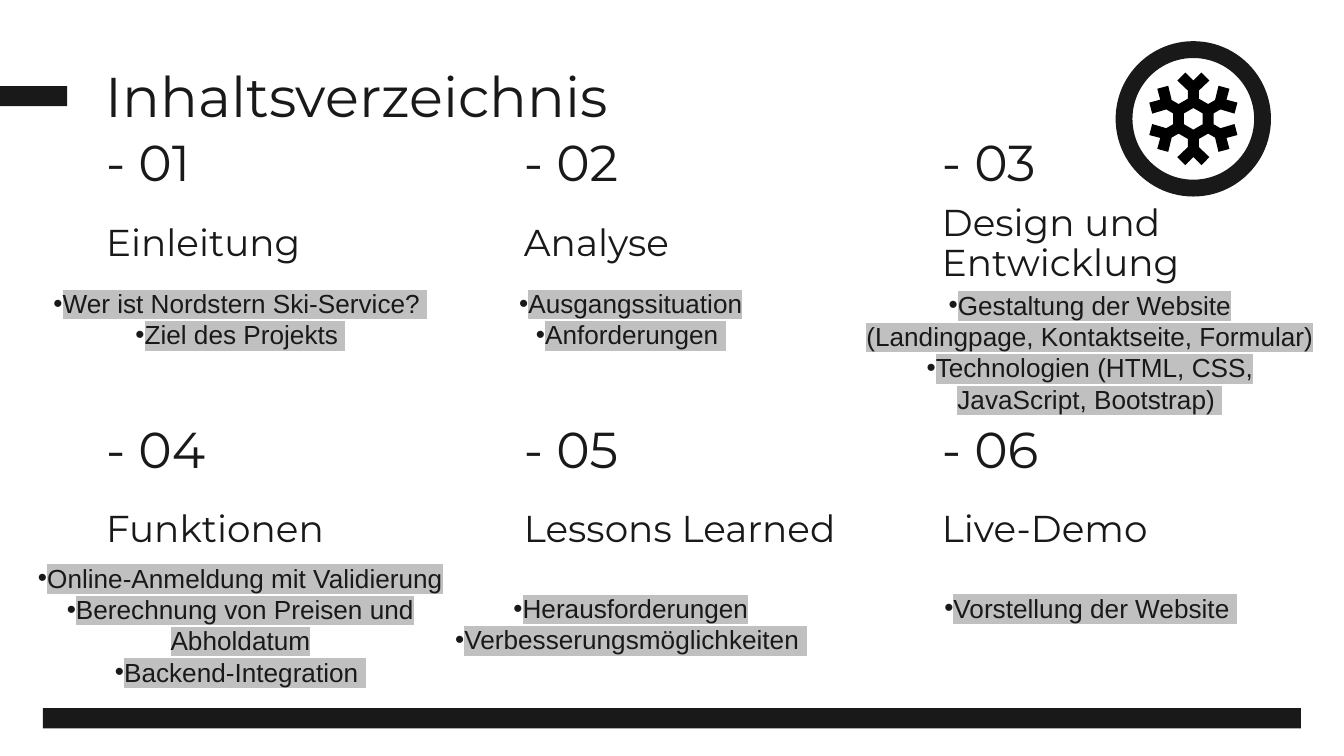
import math
import pptx
import pptx.util
import pptx.dml.color
import pptx.enum.shapes
import pptx.enum.text
import pptx.oxml.ns
from lxml import etree

Pt = pptx.util.Pt
ANCHOR = pptx.enum.text.MSO_ANCHOR
ALIGN = pptx.enum.text.PP_ALIGN
SHAPE = pptx.enum.shapes.MSO_SHAPE
INK = "191919"
MARKER = "C0C0C0"
HEAD_FONT = "Montserrat"
LIST_FONT = "Arial"
LIST_PITCH = 16.8

# Grid of chapters
LEFT, TOP = 56.8, 63.2
COLUMN_STEP, ROW_STEP = 223.9, 153.3

# Heading, list items, list box, whether the list wraps
CHAPTERS = [
    ("Einleitung", ["Wer ist Nordstern Ski-Service? ", "Ziel des Projekts "],
     (18.7, 133.2, 220.3, 58.3), False),
    ("Analyse", ["Ausgangssituation", "Anforderungen "],
     (270.7, 133.2, 134.6, 58.3), False),
    ("Design und Entwicklung",
     ["Gestaltung der Website (Landingpage, Kontaktseite, Formular)",
      "Technologien (HTML, CSS, JavaScript, Bootstrap) "],
     (456.5, 133.9, 254.9, 92.2), True),
    ("Funktionen",
     ["Online-Anmeldung mit Validierung", "Berechnung von Preisen und Abholdatum",
      "Backend-Integration "],
     (-2.2, 280.1, 262.1, 92.2), True),
    ("Lessons Learned", ["Herausforderungen", "Verbesserungsmöglichkeiten "],
     (231.8, 296.6, 212.4, 58.3), True),
    ("Live-Demo", ["Vorstellung der Website "],
     (478.1, 296.6, 212.4, 41), True),
]


def color(hex_string):
    return pptx.dml.color.RGBColor.from_string(hex_string)


def fill_shape(shape, hex_string):
    shape.shadow.inherit = False
    shape.fill.solid()
    shape.fill.fore_color.rgb = color(hex_string)
    shape.line.fill.background()


def add_child(parent, tag, **attributes):
    child = etree.SubElement(parent, pptx.oxml.ns.qn(tag))
    for name, value in attributes.items():
        child.set(name, value)
    return child


def write(para, text, size=14, font=HEAD_FONT, align=ALIGN.LEFT, spacing=1.0,
          marker=None, bullet=None):
    para.alignment = align
    para.line_spacing = spacing
    if bullet:
        properties = para._p.get_or_add_pPr()
        properties.set("marL", "0")
        properties.set("indent", "0")
        add_child(properties, "a:buFont", typeface=font)
        add_child(properties, "a:buChar", char=bullet)
    span = para.add_run()
    span.text = text
    span.font.size = Pt(size)
    span.font.color.rgb = color(INK)
    if marker:
        highlight = add_child(span._r.get_or_add_rPr(), "a:highlight")
        add_child(highlight, "a:srgbClr", val=marker)
    span.font.name = font


def set_frame(frame, anchor=ANCHOR.MIDDLE, insets=(0, 0, 0, 0), wrap=True):
    frame.word_wrap = wrap
    frame.auto_size = pptx.enum.text.MSO_AUTO_SIZE.NONE
    frame.vertical_anchor = anchor
    frame.margin_left, frame.margin_top, frame.margin_right, frame.margin_bottom = map(Pt, insets)


def add_text(page, box, text, **formats):
    frame = page.shapes.add_textbox(*map(Pt, box)).text_frame
    set_frame(frame)
    write(frame.paragraphs[0], text, **formats)


def place_title(page, box, text):
    title = page.shapes.title
    title.left, title.top, title.width, title.height = map(Pt, box)
    set_frame(title.text_frame, anchor=ANCHOR.TOP)
    write(title.text_frame.paragraphs[0], text, size=30)


def add_bar(page, box):
    fill_shape(page.shapes.add_shape(SHAPE.RECTANGLE, *map(Pt, box)), INK)


def add_chapter(page, box, number, heading):
    left, top, width, height = box
    number_height = 46.8
    add_text(page, (left, top, 101.5, number_height), f"- {number:02d}", size=27)
    add_text(page, (left, top + number_height, width, height - number_height),
             heading, size=20, spacing=0.9)


def add_list(page, box, items, wrap):
    frame = page.shapes.add_textbox(*map(Pt, box)).text_frame
    # One line of room stays free above the list
    set_frame(frame, insets=(7.2, 3.6 + LIST_PITCH, 7.2, 3.6), wrap=wrap)
    for index, item in enumerate(items):
        para = frame.add_paragraph() if index else frame.paragraphs[0]
        write(para, item, font=LIST_FONT, align=ALIGN.CENTER,
              marker=MARKER, bullet="•")


def add_snowflake_badge(page, box):
    left, top, width, height = box
    badge = page.shapes.add_group_shape()
    ring = badge.shapes.add_shape(SHAPE.OVAL, *map(Pt, box))
    ring.shadow.inherit = False
    ring.fill.background()
    ring.line.color.rgb = color(INK)
    ring.line.width = Pt(9)

    center_x, center_y = left + width / 2, top + height / 2

    def turn(x, y, step):
        angle = math.radians(60 * step)
        return (Pt(center_x + x * math.cos(angle) - y * math.sin(angle)),
                Pt(center_y + x * math.sin(angle) + y * math.cos(angle)))

    # One arm from its left side to its right, repeated six times
    half_arm = [(2.9, -10.8), (2.9, -15.1), (8.6, -20.5), (4.3, -24.8)]
    arm = [(-x, y) for x, y in half_arm] + [(0, -20.5)] + half_arm[::-1]
    outline = [turn(x, y, step) for step in range(6) for x, y in arm]
    hexagon = [turn(0, -5.8, -step) for step in range(6)]

    builder = badge.shapes.build_freeform(*outline[0], scale=1.0)
    builder.add_line_segments(outline[1:], close=True)
    builder.move_to(*hexagon[0])
    builder.add_line_segments(hexagon[1:], close=True)
    fill_shape(builder.convert_to_shape(), "000000")


def build_contents(deck):
    page = deck.slides.add_slide(deck.slide_layouts[5])
    # Accent bars
    add_bar(page, (0, 46.1, 36, 10.8))
    add_bar(page, (23, 379.4, 673.9, 10.8))
    # Title
    place_title(page, (56.6, 33.1, 607, 36), "Inhaltsverzeichnis")
    # Chapters with their lists
    for index, (heading, items, list_box, wrap) in enumerate(CHAPTERS):
        row, column = divmod(index, 3)
        box = (LEFT + column * COLUMN_STEP, TOP + row * ROW_STEP, 179.3, 88.6)
        add_chapter(page, box, index + 1, heading)
        add_list(page, list_box, items, wrap)
    # Badge
    add_snowflake_badge(page, (602.2, 26.6, 74.2, 74.2))


def main():
    deck = pptx.Presentation()
    deck.slide_width, deck.slide_height = Pt(720), Pt(405)
    build_contents(deck)
    deck.save("out.pptx")


if __name__ == "__main__":
    main()
